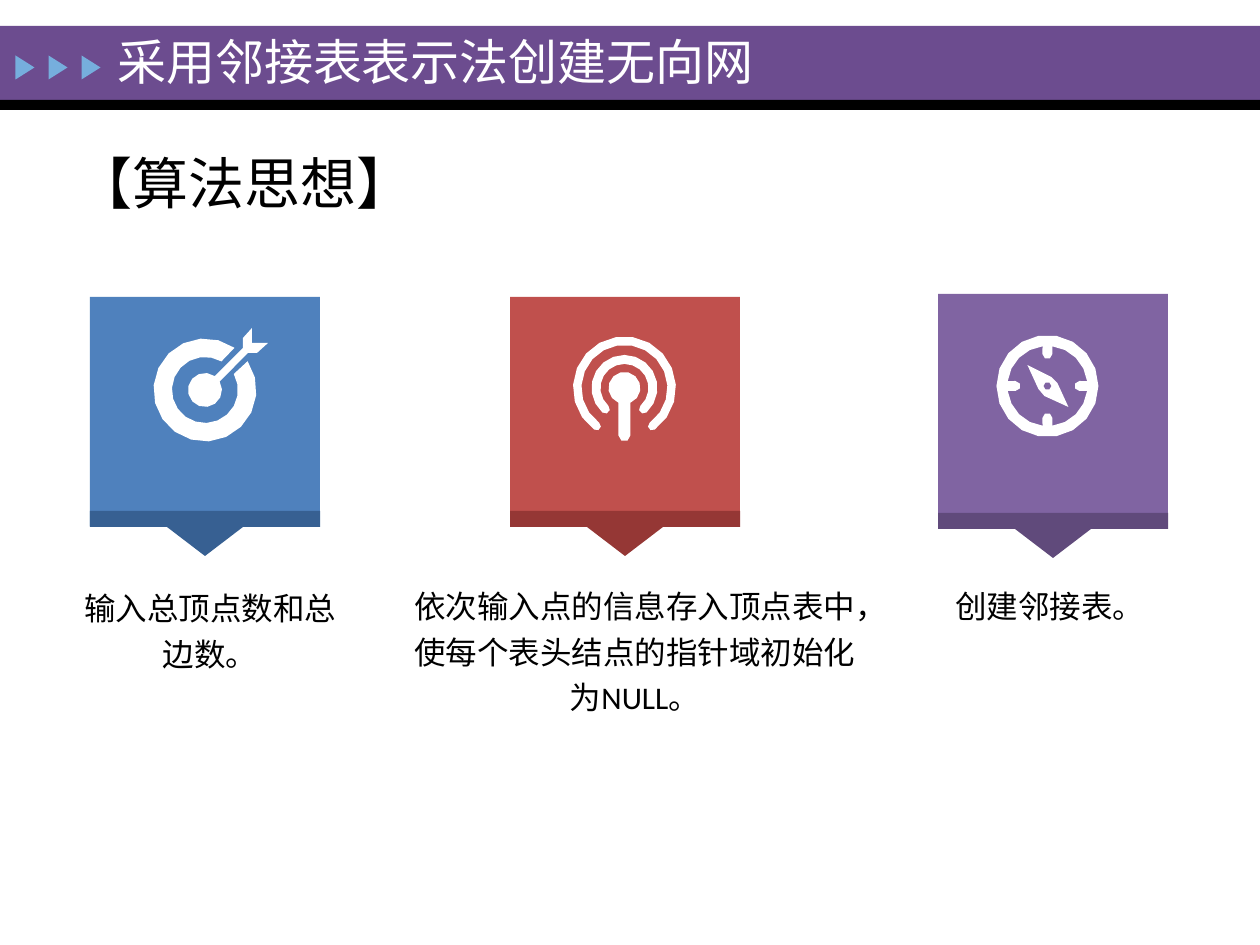
from dataclasses import dataclass
from math import ceil, cos, radians, sin

from pptx import Presentation
from pptx.dml.color import RGBColor
from pptx.enum.shapes import MSO_SHAPE
from pptx.enum.text import MSO_ANCHOR, PP_ALIGN
from pptx.util import Pt

Point = tuple[float, float]
Contour = list[Point]
EMU_PER_PX = 914400 / 126


@dataclass(frozen=True)
class Theme:
    font: str = "Calibri"
    banner: str = "6C4C8F"
    ink: str = "000000"
    arrow: str = "76AEDD"
    white: str = "FFFFFF"
    title_size: int = 28
    heading_size: int = 32
    caption_size: int = 18


@dataclass(frozen=True)
class Box:
    left: int
    top: int
    width: int
    height: int


@dataclass(frozen=True)
class Card:
    square: Box
    fold_top: int
    fill: str
    fold_fill: str
    icon: list[Contour]
    icon_center: Point
    caption: str
    caption_box: Box


THEME = Theme()


def emu(px: float) -> int:
    return round(px * EMU_PER_PX)


def emu_box(box: Box) -> list[int]:
    return [emu(n) for n in (box.left, box.top, box.width, box.height)]


def paint(shape, color: str) -> None:
    shape.shadow.inherit = False
    shape.fill.solid()
    shape.fill.fore_color.rgb = RGBColor.from_string(color)
    shape.line.fill.background()


def add_block(slide, box: Box, color: str, kind=MSO_SHAPE.RECTANGLE, rotation: int = 0) -> None:
    block = slide.shapes.add_shape(kind, *emu_box(box))
    block.rotation = rotation
    paint(block, color)


def add_outline(slide, contours: list[Contour], origin: Point, color: str) -> None:
    """Draw closed contours, given relative to origin, as one freeform."""
    placed = [[(emu(origin[0] + x), emu(origin[1] + y)) for x, y in c] for c in contours]
    builder = slide.shapes.build_freeform(*placed[0][0], scale=1.0)
    for index, points in enumerate(placed):
        if index:
            builder.move_to(*points[0])
        builder.add_line_segments(points[1:], close=True)
    paint(builder.convert_to_shape(), color)


def add_text(slide, text: str, box: Box, *, size: int, color: str = THEME.ink,
             align=PP_ALIGN.LEFT, anchor=MSO_ANCHOR.MIDDLE,
             line_spacing: float = 1.0, inset: bool = True) -> None:
    frame = slide.shapes.add_textbox(*emu_box(box)).text_frame
    frame.word_wrap = True
    frame.vertical_anchor = anchor
    if not inset:
        frame.margin_left = frame.margin_top = frame.margin_right = frame.margin_bottom = 0
    paragraph = frame.paragraphs[0]
    paragraph.alignment = align
    paragraph.line_spacing = line_spacing
    run = paragraph.add_run()
    run.text = text
    run.font.name = THEME.font
    run.font.size = Pt(size)
    run.font.color.rgb = RGBColor.from_string(color)


# Icon geometry: angles in degrees, clockwise from the right
def polar(radius: float, angle: float) -> Point:
    return radius * cos(radians(angle)), radius * sin(radians(angle))


def arc(radius: float, start: float, end: float, center: Point = (0, 0)) -> Contour:
    step = 20 if radius > 20 else 30 if radius > 10 else 60
    count = ceil(abs(end - start) / step)
    points = (polar(radius, start + (end - start) * i / count) for i in range(count + 1))
    return [(center[0] + x, center[1] + y) for x, y in points]


def round_band(outer: float, inner: float, start: float, end: float) -> Contour:
    """An open ring with rounded ends."""
    middle, cap = (outer + inner) / 2, (outer - inner) / 2
    return (arc(outer, start, end)
            + arc(cap, end, end + 180, polar(middle, end))[1:-1]
            + arc(inner, end, start)
            + arc(cap, start + 180, start + 360, polar(middle, start))[1:-1])


def target_icon() -> list[Contour]:
    ring = arc(51.5, -34, 305) + arc(33, 300, -29)
    dart = [(38, -42), (38, -52), (47, -62), (47, -47), (63, -47), (52, -37), (43, -37)]
    return [ring, arc(17, -30, 305) + dart]


def signal_icon() -> list[Contour]:
    hub_and_stem = arc(16, 112, 428) + arc(6, 0, 180, (0, 47.5))
    return [round_band(51.5, 43, 126, 414), round_band(33, 24, 132, 408), hub_and_stem]


def compass_icon() -> list[Contour]:
    dial: Contour = []
    for tick in (90, 180, 270, 360):
        dial += arc(40, tick - 83, tick - 7)
        dial += arc(5, tick - 90, tick - 270, polar(32, tick))
    needle = [(-20, -21), (4, -9), (10, -3), (21, 21), (-3, 10), (-9, 3)]
    return [arc(51, 0, 360), dial, needle, arc(4, 0, 360)]


def add_card(slide, card: Card) -> None:
    square = card.square
    add_block(slide, square, card.fill)
    # Folded lower edge with its pointer
    width, middle, edge = square.width, square.width / 2, 16
    fold = [(0, 0), (width, 0), (width, edge), (middle + 38, edge),
            (middle, 45), (middle - 38, edge), (0, edge)]
    add_outline(slide, [fold], (square.left, card.fold_top), card.fold_fill)
    add_text(slide, card.caption, card.caption_box, size=THEME.caption_size,
             align=PP_ALIGN.CENTER, anchor=MSO_ANCHOR.TOP, line_spacing=1.2, inset=False)
    add_outline(slide, card.icon, card.icon_center, THEME.white)


CARDS = [
    Card(Box(90, 297, 230, 229), 511, "4F81BD", "376092", target_icon(), (205, 390),
         "输入总顶点数和总边数。", Box(80, 582, 260, 64)),
    Card(Box(938, 294, 230, 229), 513, "8064A2", "604A7B", compass_icon(), (1047.5, 386),
         "创建邻接表。 ", Box(938, 580, 230, 64)),
    Card(Box(510, 297, 230, 229), 511, "C0504D", "953735", signal_icon(), (624.5, 388),
         "依次输入点的信息存入顶点表中，使每个表头结点的指针域初始化为NULL。",
         Box(402, 580, 466, 64)),
]


def main() -> None:
    presentation = Presentation()
    presentation.slide_width, presentation.slide_height = emu(1260), emu(945)
    slide = presentation.slides.add_slide(presentation.slide_layouts[6])

    # Banner with three arrows
    add_block(slide, Box(0, 26, 1260, 74), THEME.banner)
    add_block(slide, Box(0, 100, 1260, 10), THEME.ink)
    for index in range(3):
        add_block(slide, Box(13 + 33 * index, 58, 24, 19), THEME.arrow,
                  MSO_SHAPE.ISOSCELES_TRIANGLE, rotation=90)

    # Heading and title
    add_text(slide, "【算法思想】", Box(64, 141, 520, 83), size=THEME.heading_size)
    add_text(slide, "采用邻接表表示法创建无向网", Box(105, 25, 833, 71),
             size=THEME.title_size, color=THEME.white)

    # Algorithm steps
    for card in CARDS:
        add_card(slide, card)

    presentation.save("out.pptx")


if __name__ == "__main__":
    main()
